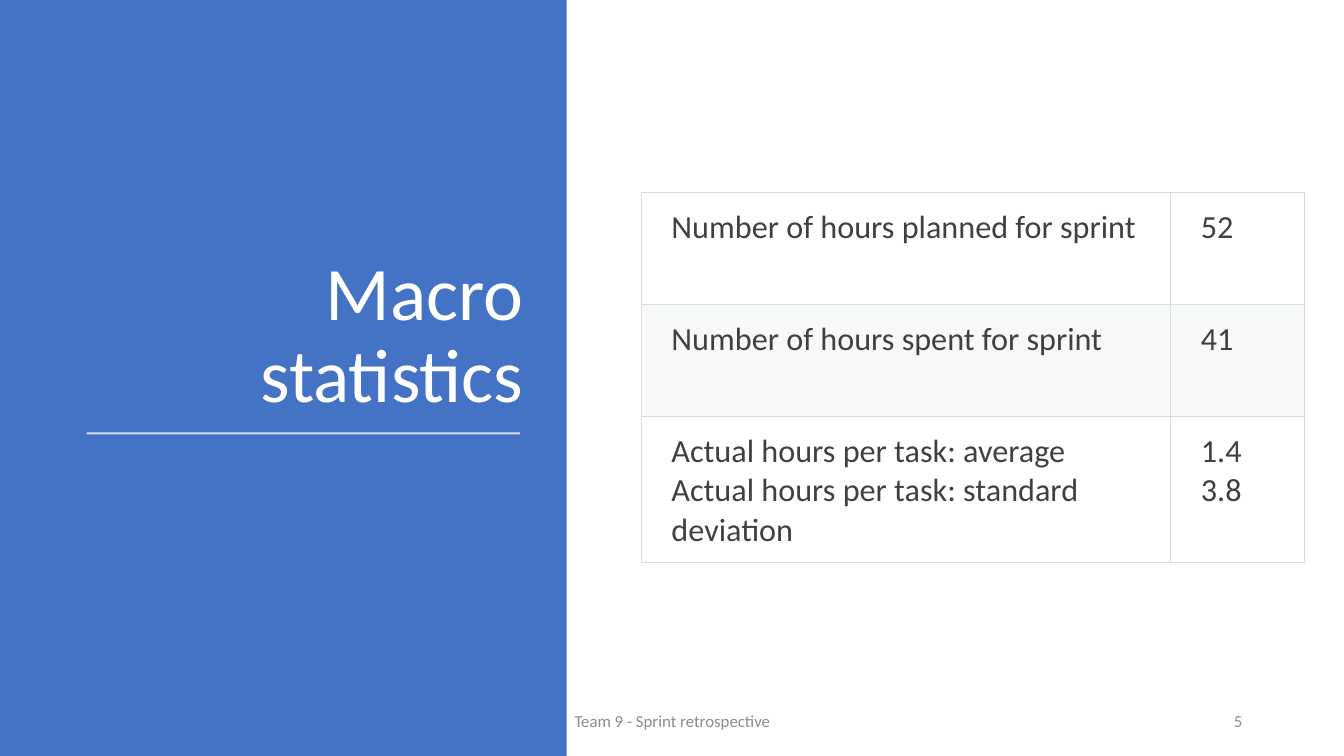
from lxml.etree import SubElement as Sub
from pptx import Presentation
from pptx.dml.color import RGBColor
from pptx.enum.shapes import MSO_CONNECTOR as Link, MSO_SHAPE as Shape
from pptx.enum.text import MSO_ANCHOR as Anchor, PP_ALIGN as Align
from pptx.oxml import parse_xml
from pptx.oxml.ns import nsdecls, qn
from pptx.util import Inches, Pt

BLUE = RGBColor(0x44, 0x72, 0xC4)
WHITE = RGBColor(0xFF, 0xFF, 0xFF)
DARK = RGBColor(0x40, 0x40, 0x40)
GRAY = RGBColor(0x8C, 0x8C, 0x8C)
BAND = RGBColor(0xD8, 0xDE, 0xDC)
EDGE = RGBColor(0xD8, 0xDC, 0xDC)
FONT = "Calibri"

STATS = [
    (["Number of hours planned for sprint"], ["52"]),
    (["Number of hours spent for sprint"], ["41"]),
    (["Actual hours per task: average",
      "Actual hours per task: standard deviation"], ["1.4", "3.8"]),
]
WIDTHS = [5.25, 1.33]
ROW = 1.11


def write(frame, lines, size, color, align=Align.LEFT, space=1.0):
    """Put each line in its own paragraph of the frame."""
    frame.word_wrap = True
    for i, line in enumerate(lines):
        para = frame.add_paragraph() if i else frame.paragraphs[0]
        para.alignment = align
        para.line_spacing = space
        run = para.add_run()
        run.text = line
        run.font.name = FONT
        run.font.size = Pt(size)
        run.font.color.rgb = color


def add_text(slide, box, text, size, color, align, anchor=Anchor.MIDDLE, space=1.0):
    frame = slide.shapes.add_textbox(*map(Inches, box)).text_frame
    frame.vertical_anchor = anchor
    write(frame, [text], size, color, align, space)


def fade(node, percent):
    """Set the opacity of the first colour inside the XML node."""
    color = next(node.iter(qn("a:srgbClr")))
    Sub(color, qn("a:alpha")).set("val", str(percent * 1000))


def add_panel(slide):
    panel = slide.shapes.add_shape(Shape.RECTANGLE, 0, 0, Inches(5.62), Inches(7.5))
    panel.shadow.inherit = False
    panel.fill.solid()
    panel.fill.fore_color.rgb = BLUE
    panel.line.fill.background()


def add_rule(slide):
    rule = slide.shapes.add_connector(
        Link.STRAIGHT, Inches(0.86), Inches(4.3), Inches(5.16), Inches(4.3))
    rule.line.color.rgb = WHITE
    rule.line.width = Pt(1.5)
    props = rule.line._get_or_add_ln().getparent()
    fade(props, 80)
    Sub(props, qn("a:effectLst"))


def add_edges(cell):
    props = cell._tc.get_or_add_tcPr()
    for i, side in enumerate("LRTB"):
        props.insert(i, parse_xml(
            f'<a:ln{side} {nsdecls("a")} w="{Pt(0.75)}"><a:solidFill>'
            f'<a:srgbClr val="{EDGE}"/></a:solidFill></a:ln{side}>'))


def fill_cell(cell, lines, banded):
    cell.margin_left = Inches(0.3)
    cell.margin_right = Inches(0.28)
    cell.margin_top = cell.margin_bottom = Inches(0.15)
    write(cell.text_frame, lines, 23, DARK)
    if banded:
        cell.fill.solid()
        cell.fill.fore_color.rgb = BAND
        fade(cell._tc.tcPr, 20)
    else:
        cell.fill.background()
    add_edges(cell)


def add_stats(slide):
    table = slide.shapes.add_table(
        len(STATS), len(WIDTHS), Inches(6.36), Inches(1.91),
        Inches(sum(WIDTHS)), Inches(ROW * len(STATS))).table
    table.first_row = table.horz_banding = False
    for col, width in zip(table.columns, WIDTHS):
        col.width = Inches(width)
    for r, cells in enumerate(STATS):
        table.rows[r].height = Inches(ROW)
        for c, lines in enumerate(cells):
            fill_cell(table.cell(r, c), lines, r % 2 == 1)


def main():
    deck = Presentation()
    deck.slide_width, deck.slide_height = Inches(13.33), Inches(7.5)
    slide = deck.slides.add_slide(deck.slide_layouts[6])
    add_panel(slide)
    add_text(slide, (0.69, 0.88, 4.6, 3.32), "Macro statistics", 54, WHITE,
             Align.RIGHT, Anchor.BOTTOM, 0.9)
    add_rule(slide)
    add_stats(slide)
    add_text(slide, (9.42, 6.95, 3, 0.4), "5", 12, GRAY, Align.RIGHT)
    add_text(slide, (4.42, 6.95, 4.5, 0.4), "Team 9 - Sprint retrospective",
             12, GRAY, Align.CENTER)
    deck.save("out.pptx")


if __name__ == "__main__":
    main()
